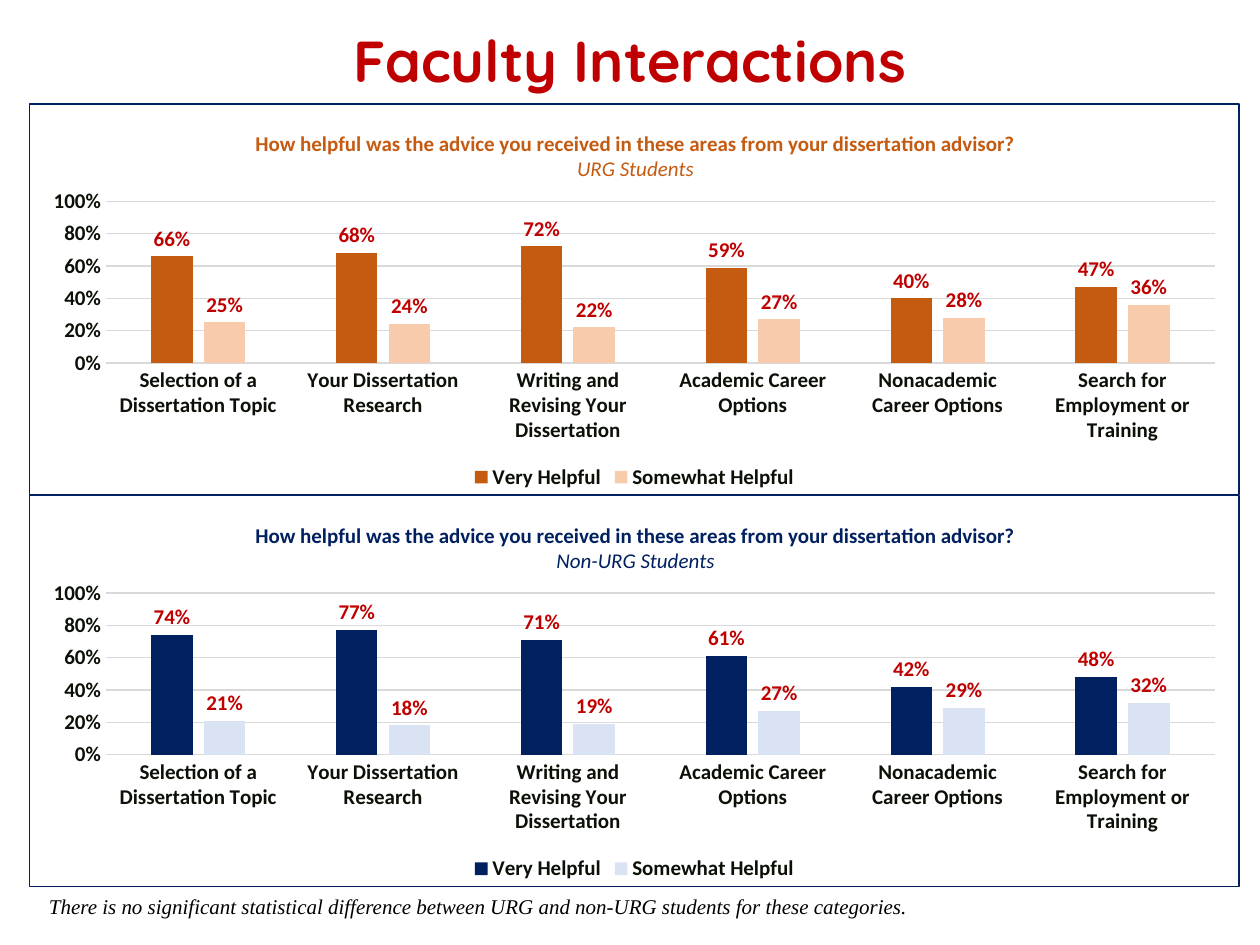
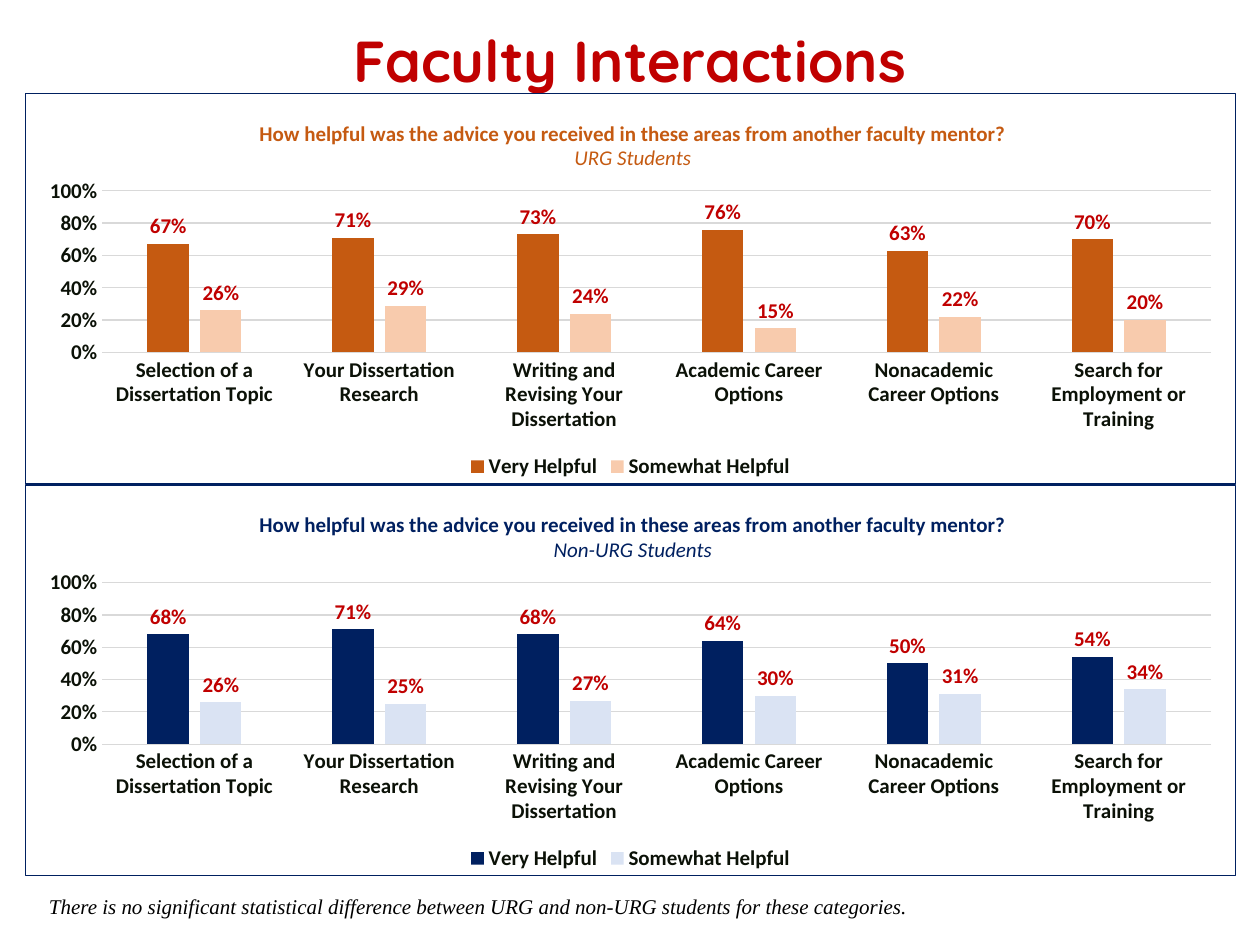
from dataclasses import dataclass
from typing import Any

from lxml import etree
from pptx import Presentation
from pptx.chart.data import CategoryChartData
from pptx.dml.color import RGBColor
from pptx.enum.chart import XL_CHART_TYPE, XL_LABEL_POSITION, XL_LEGEND_POSITION, XL_TICK_MARK
from pptx.enum.text import MSO_ANCHOR, MSO_AUTO_SIZE, PP_ALIGN
from pptx.oxml import parse_xml
from pptx.oxml.ns import nsdecls, qn
from pptx.util import Inches, Pt

CLUSTERED = XL_CHART_TYPE.COLUMN_CLUSTERED
OUTSIDE_END = XL_LABEL_POSITION.OUTSIDE_END
BOTTOM = XL_LEGEND_POSITION.BOTTOM
NO_TICK = XL_TICK_MARK.NONE
MIDDLE = MSO_ANCHOR.MIDDLE
CENTER = PP_ALIGN.CENTER
FIXED_SIZE = MSO_AUTO_SIZE.NONE
GROW = MSO_AUTO_SIZE.SHAPE_TO_FIT_TEXT

RED = RGBColor(0xC0, 0x00, 0x00)
ORANGE = RGBColor(0xC5, 0x5A, 0x11)
PEACH = RGBColor(0xF8, 0xCB, 0xAD)
NAVY = RGBColor(0x00, 0x20, 0x60)
PALE_BLUE = RGBColor(0xDA, 0xE3, 0xF3)
INK = RGBColor(0x0B, 0x11, 0x07)
GREY = RGBColor(0xD9, 0xD9, 0xD9)
BLACK = RGBColor(0x00, 0x00, 0x00)

WIDTH, HEIGHT = Inches(10), Inches(7.5)
COLUMN, ROW = WIDTH / 100, HEIGHT / 100
CHART_COLUMNS, CHART_ROWS = 96.1, 41.45

HEADING = "Faculty Interactions"
NOTE = ("There is no significant statistical difference between URG and "
        "non-URG students for these categories.")
QUESTION = "How helpful was the advice you received in these areas from {}?"
CATEGORIES = (
    "Selection of a Dissertation Topic",
    "Your Dissertation Research",
    "Writing and Revising Your Dissertation",
    "Academic Career Options",
    "Nonacademic Career Options",
    "Search for Employment or Training",
)
ANSWERS = ("Very Helpful", "Somewhat Helpful")

HEADING_FONT = {"name": "Quicksand", "size": Pt(33), "bold": True}
NOTE_FONT = {"name": "Times New Roman", "size": Pt(12), "italic": True}
CHART_FONT = {"name": "Calibri", "size": Pt(12), "bold": True}
QUESTION_FONT = CHART_FONT | {"italic": False}
GROUP_FONT = CHART_FONT | {"bold": False, "italic": True}


@dataclass(frozen=True)
class Box:
    """A rectangle in hundredths of the slide's width and height."""
    left: float
    top: float
    width: float
    height: float

    def lengths(self) -> dict[str, int]:
        return {"left": round(self.left * COLUMN), "top": round(self.top * ROW),
                "width": round(self.width * COLUMN), "height": round(self.height * ROW)}


@dataclass(frozen=True)
class Group:
    name: str
    very_color: RGBColor
    somewhat_color: RGBColor


@dataclass(frozen=True)
class Survey:
    """One slide: who gave the advice, and percentages per group and answer."""
    adviser: str
    left: float
    top: float
    question_left: float
    percentages: tuple


GROUPS = (
    Group("URG Students", ORANGE, PEACH),
    Group("Non-URG Students", NAVY, PALE_BLUE),
)
SURVEYS = (
    Survey("your dissertation advisor", 2.3, 10.95, 18.35, (
        ((66, 68, 72, 59, 40, 47), (25, 24, 22, 27, 28, 36)),
        ((74, 77, 71, 61, 42, 48), (21, 18, 19, 27, 29, 32)),
    )),
    Survey("another faculty mentor", 2, 9.85, 19, (
        ((67, 71, 73, 76, 63, 70), (26, 29, 24, 15, 22, 20)),
        ((68, 71, 68, 64, 50, 54), (26, 25, 27, 30, 31, 34)),
    )),
)
HEADING_BOX = Box(2.7, 0.8, 94.6, 11.87)
NOTE_BOX = Box(2.9, 93.87, 72.5, 6.67)


def set_attributes(target: Any, values: dict[str, Any]) -> None:
    for name, value in values.items():
        setattr(target, name, value)


def set_font(font: Any, values: dict[str, Any], color: RGBColor) -> None:
    set_attributes(font, values)
    font.color.rgb = color


def set_line(line: Any, color: RGBColor) -> None:
    line.color.rgb = color
    line.width = Pt(0.75)


def set_layout(element: Any, index: int, **percents: Any) -> None:
    """Fix a chart part's place, in hundredths of the chart's size."""
    for old in element.findall(qn("c:layout")):
        element.remove(old)
    layout = parse_xml(f"<c:layout {nsdecls('c')}/>")
    manual = etree.SubElement(layout, qn("c:manualLayout"))
    if "w" in percents:
        etree.SubElement(manual, qn("c:layoutTarget")).set("val", "inner")
    for mode in ("xMode", "yMode"):
        etree.SubElement(manual, qn(f"c:{mode}")).set("val", "edge")
    for name, percent in percents.items():
        etree.SubElement(manual, qn(f"c:{name}")).set("val", f"{percent / 100:.4f}")
    element.insert(index, layout)


def add_border(chart: Any, color: RGBColor) -> None:
    """Outline the chart area; needs the chart's font to be set already."""
    border = parse_xml(
        f'<c:spPr {nsdecls("c", "a")}><a:noFill/><a:ln w="{Pt(0.75)}"><a:solidFill>'
        f'<a:srgbClr val="{color}"/></a:solidFill></a:ln></c:spPr>')
    chart._chartSpace.find(qn("c:txPr")).addprevious(border)


def add_chart_title(chart: Any, survey: Survey, group: Group) -> None:
    chart.has_title = True
    title = chart.chart_title
    frame = title.text_frame
    lines = ((frame.paragraphs[0], QUESTION.format(survey.adviser), QUESTION_FONT),
             (frame.add_paragraph(), group.name, GROUP_FONT))
    for paragraph, text, font in lines:
        run = paragraph.add_run()
        run.text = text
        set_font(run.font, font, group.very_color)
    set_layout(title._element, 1, x=survey.question_left, y=5.5)


def format_axes(chart: Any) -> None:
    for axis in (chart.category_axis, chart.value_axis):
        set_attributes(axis, {"major_tick_mark": NO_TICK, "minor_tick_mark": NO_TICK})
        set_font(axis.tick_labels.font, CHART_FONT, INK)
    set_line(chart.category_axis.format.line, GREY)
    values = chart.value_axis
    set_attributes(values, {"minimum_scale": 0, "maximum_scale": 1, "major_unit": 0.2,
                            "has_major_gridlines": True})
    set_attributes(values.tick_labels, {"number_format": "0%",
                                        "number_format_is_linked": False})
    set_line(values.major_gridlines.format.line, GREY)
    values.format.line.fill.background()


def format_columns(chart: Any, group: Group) -> None:
    plot = chart.plots[0]
    set_attributes(plot, {"gap_width": 219, "overlap": -27, "vary_by_categories": False})
    for series, color in zip(plot.series, (group.very_color, group.somewhat_color)):
        series.format.fill.solid()
        series.format.fill.fore_color.rgb = color
        labels = series.data_labels
        set_attributes(labels, {"show_value": True, "position": OUTSIDE_END,
                                "number_format": "0%", "number_format_is_linked": False})
        set_font(labels.font, CHART_FONT, RED)


def add_group_chart(slide: Any, survey: Survey, index: int) -> None:
    group = GROUPS[index]
    data = CategoryChartData(number_format="0%")
    data.categories = CATEGORIES
    for answer, percentages in zip(ANSWERS, survey.percentages[index]):
        data.add_series(answer, [percent / 100 for percent in percentages])
    box = Box(survey.left, survey.top + index * CHART_ROWS, CHART_COLUMNS, CHART_ROWS)
    lengths = box.lengths()
    chart = slide.shapes.add_chart(CLUSTERED, *lengths.values(), data).chart
    set_font(chart.font, {"name": "Calibri", "size": Pt(10)}, BLACK)
    add_border(chart, NAVY)
    add_chart_title(chart, survey, group)
    format_axes(chart)
    format_columns(chart, group)
    chart.has_legend = True
    set_attributes(chart.legend, {"position": BOTTOM, "include_in_layout": False})
    set_font(chart.legend.font, CHART_FONT, INK)
    plot_area = chart._chartSpace.chart.plotArea
    set_layout(plot_area, 0, x=6.3, y=24.9, w=91.7, h=41.4)


def add_heading(slide: Any) -> None:
    title = slide.shapes.title
    set_attributes(title, HEADING_BOX.lengths())
    frame = title.text_frame
    frame.text = HEADING
    set_attributes(frame, {"vertical_anchor": MIDDLE, "auto_size": FIXED_SIZE,
                           "word_wrap": True})
    paragraph = frame.paragraphs[0]
    set_attributes(paragraph, {"alignment": CENTER, "line_spacing": 0.9})
    set_font(paragraph.runs[0].font, HEADING_FONT, RED)


def add_note(slide: Any) -> None:
    frame = slide.shapes.add_textbox(**NOTE_BOX.lengths()).text_frame
    set_attributes(frame, {"word_wrap": True, "auto_size": GROW})
    frame.text = NOTE
    set_font(frame.paragraphs[0].runs[0].font, NOTE_FONT, BLACK)


def main() -> None:
    presentation = Presentation()
    set_attributes(presentation, {"slide_width": WIDTH, "slide_height": HEIGHT})
    title_only = presentation.slide_layouts.get_by_name("Title Only")
    for survey in SURVEYS:
        slide = presentation.slides.add_slide(title_only)
        add_heading(slide)
        for index in range(len(GROUPS)):
            add_group_chart(slide, survey, index)
        add_note(slide)
    presentation.save("out.pptx")


if __name__ == "__main__":
    main()
